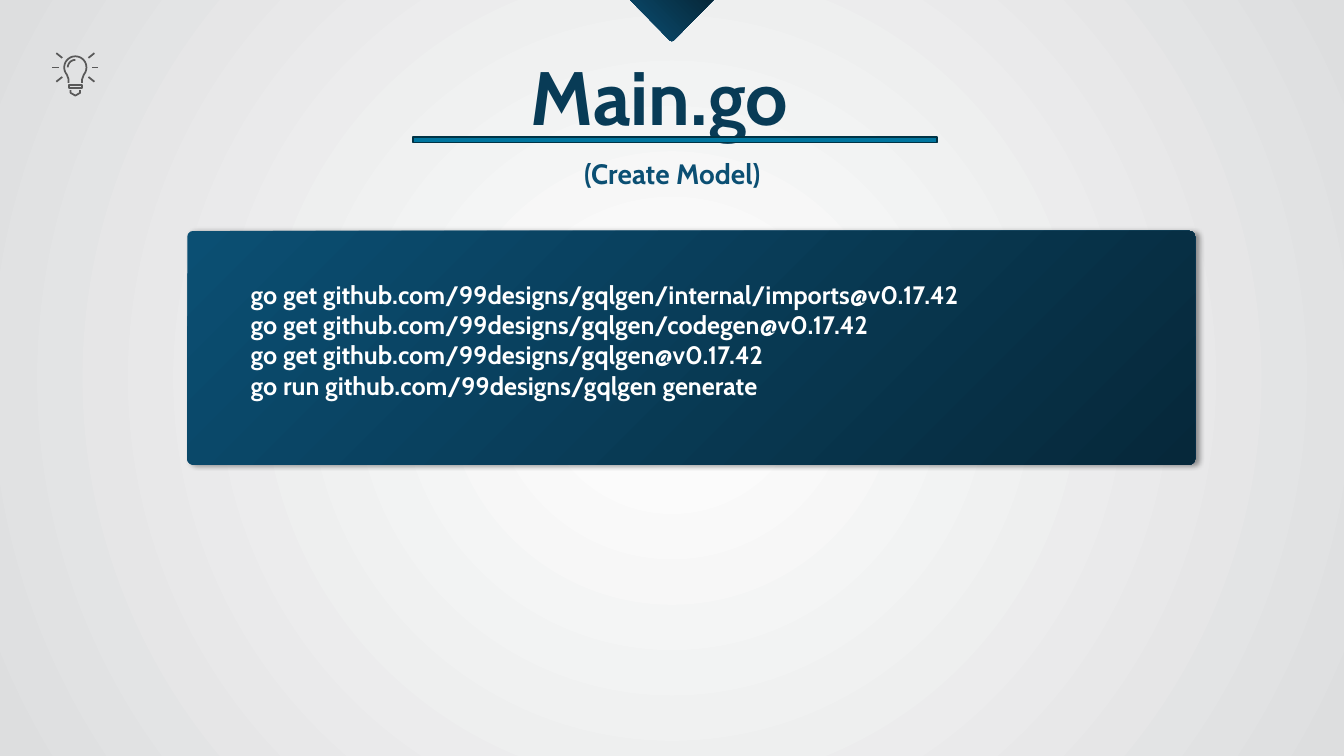
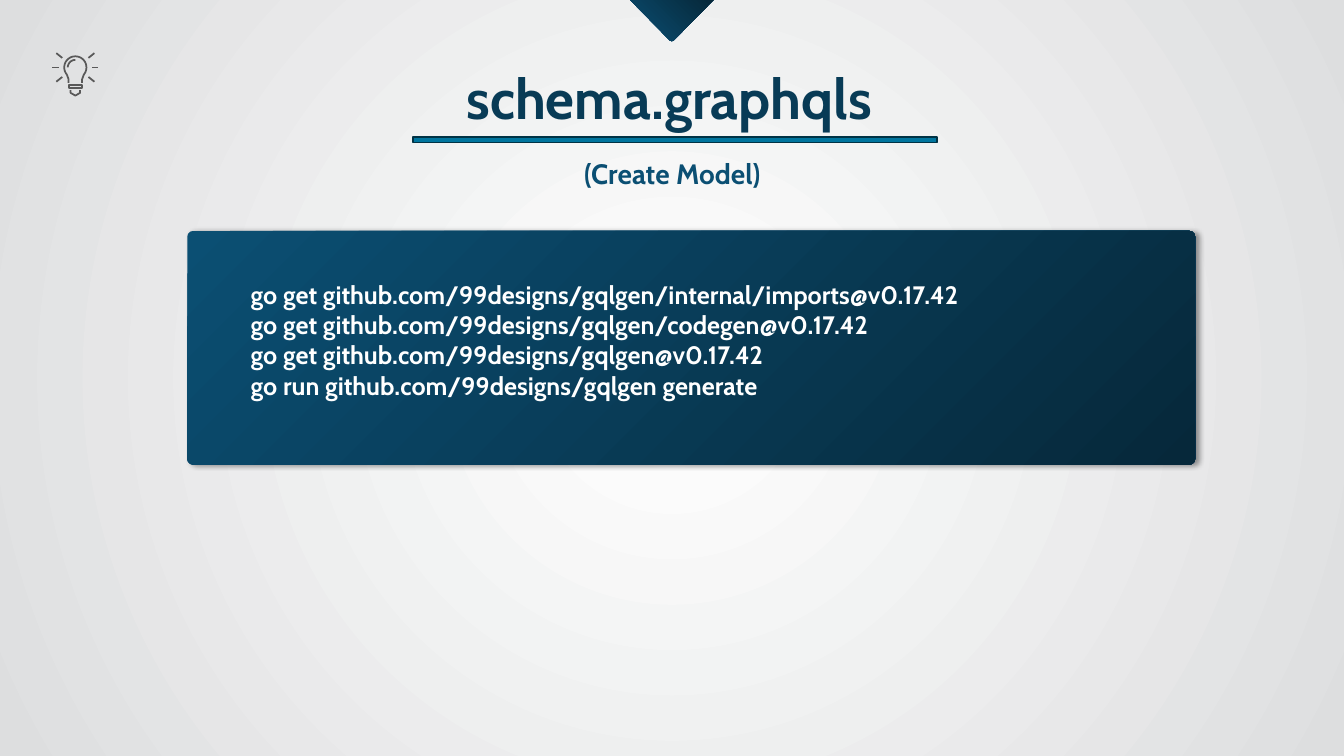
from math import cos, radians, sin

from pptx import Presentation
from pptx.dml.color import RGBColor
from pptx.enum.shapes import MSO_SHAPE as SHAPE
from pptx.enum.text import MSO_AUTO_SIZE as AUTO, PP_ALIGN as ALIGN
from pptx.oxml import parse_xml
from pptx.oxml.ns import nsdecls, qn
from pptx.util import Cm, Pt

WHITE = RGBColor(0xFF, 0xFF, 0xFF)
MIST = RGBColor(0xDD, 0xDE, 0xDF)
GREY = RGBColor(0x59, 0x59, 0x59)
OCEAN = RGBColor(0x0B, 0x4F, 0x73)
NIGHT = RGBColor(0x06, 0x28, 0x3A)
NAVY = RGBColor(0x08, 0x3B, 0x56)
TEAL = RGBColor(0x00, 0x75, 0x9E)
EDGE = RGBColor(0x00, 0x33, 0x45)
FONT = "Cabin"

GLOW = (
    f'<a:path {nsdecls("a")} path="circle">'
    '<a:fillToRect l="50000" t="50000" r="50000" b="50000"/></a:path>'
)
SHADOW = (
    f'<a:outerShdw {nsdecls("a")} blurRad="50800" dist="38100" dir="0" '
    'algn="l" rotWithShape="0"><a:srgbClr val="000000">'
    '<a:alpha val="40000"/></a:srgbClr></a:outerShdw>'
)

COMMANDS = [
    "go get github.com/99designs/gqlgen/internal/imports@v0.17.42",
    "go get github.com/99designs/gqlgen/codegen@v0.17.42",
    "go get github.com/99designs/gqlgen@v0.17.42",
    "go run github.com/99designs/gqlgen generate",
]
SLIDES = [
    ("Main.go ", 54, (10.41, 1.14, 12.85, 2.57)),
    ("schema.graphqls ", 40, (9.53, 1.47, 14.99, 1.96)),
]


def write(p, text, size=18, color=WHITE, align=ALIGN.LEFT, bold=True):
    p.alignment = align
    r = p.add_run()
    r.text = text
    r.font.name = FONT
    r.font.size = Pt(size)
    r.font.bold = bold
    r.font.color.rgb = color


def blend(fill, start, end, angle=None):
    fill.gradient()
    for stop, color in zip(fill.gradient_stops, (start, end)):
        stop.color.rgb = color
    if angle is not None:
        fill.gradient_angle = angle


def arc(x, y, radius, start, end, step=10):
    return [
        (x + radius * cos(radians(a)), y + radius * sin(radians(a)))
        for a in range(start, end + 1, step)
    ]


class Deck:
    def __init__(self):
        self.prs = Presentation()
        self.prs.slide_width = Cm(33.87)
        self.prs.slide_height = Cm(19.05)
        self.s = None

    def new_slide(self):
        self.s = self.prs.slides.add_slide(self.prs.slide_layouts[6])
        blend(self.s.background.fill, WHITE, MIST)
        lin = next(self.s.element.iter(qn("a:lin")))
        lin.getparent().replace(lin, parse_xml(GLOW))

    def text(self, lines, box, shapes=None, **style):
        tb = (shapes or self.s.shapes).add_textbox(*map(Cm, box))
        tf = tb.text_frame
        tf.word_wrap = True
        tf.auto_size = AUTO.SHAPE_TO_FIT_TEXT
        for i, line in enumerate(lines):
            write(tf.add_paragraph() if i else tf.paragraphs[0], line, **style)

    def shape(self, kind, box, shapes=None):
        sp = (shapes or self.s.shapes).add_shape(kind, *map(Cm, box))
        sp.shadow.inherit = False
        return sp

    def outline(self, contours):
        pen = None
        for points, closed in contours:
            first, *rest = [(Cm(x), Cm(y)) for x, y in points]
            if pen is None:
                pen = self.s.shapes.build_freeform(*first)
            else:
                pen.move_to(*first)
            pen.add_line_segments(rest, close=closed)
        sp = pen.convert_to_shape()
        sp.shadow.inherit = False
        return sp

    def pointer(self):
        points = [(15.88, 0), (16.88, 1.02), (16.93, 1.04), (16.98, 1.02), (17.98, 0)]
        sp = self.outline([(points, True)])
        blend(sp.fill, OCEAN, NIGHT, 45)
        sp.line.fill.background()

    def bulb(self, x=1.9, y=1.7):
        neck = [(0.17, 2), (0.17, 2.09)]
        glass = [(x - dx, py) for dx, py in reversed(neck)]
        glass += arc(x, y, 0.28, 140, 400)
        glass += [(x + dx, py) for dx, py in neck]
        base = [(x - 0.16, 2.14), (x + 0.16, 2.14), (x + 0.16, 2.22), (x - 0.16, 2.22)]
        foot = [(x - 0.12, 2.27), (x - 0.12, 2.34), (x, 2.41), (x + 0.12, 2.34), (x + 0.12, 2.27)]
        contours = [(glass, False), (arc(x, y, 0.19, 180, 270), False), (base, True), (foot, False)]
        for side in (-1, 1):
            contours.append(([(x + side * 0.42, y), (x + side * 0.58, y)], False))
            for dy in (-1, 1):
                inner = (x + side * 0.33, y + dy * 0.24)
                outer = (x + side * 0.48, y + dy * 0.36)
                contours.append(([inner, outer], False))
        sp = self.outline(contours)
        sp.fill.background()
        sp.line.color.rgb = GREY
        sp.line.width = Pt(1.25)

    def rule(self):
        sp = self.shape(SHAPE.RECTANGLE, (10.41, 3.45, 13.21, 0.15))
        sp.fill.solid()
        sp.fill.fore_color.rgb = TEAL
        sp.line.color.rgb = EDGE
        sp.line.width = Pt(1)

    def code_panel(self, lines):
        group = self.s.shapes.add_group_shape()
        sp = self.shape(SHAPE.ROUNDED_RECTANGLE, (4.72, 5.82, 25.4, 5.89), group.shapes)
        sp.adjustments[0] = 0.025
        blend(sp.fill, OCEAN, NIGHT, 315)
        sp.line.fill.background()
        next(sp.element.iter(qn("a:effectLst"))).append(parse_xml(SHADOW))
        self.text(lines, (6.07, 6.91, 23.14, 3.33), group.shapes)


def main():
    deck = Deck()
    for title, size, box in SLIDES:
        deck.new_slide()
        deck.pointer()
        deck.text([title], box, size=size, color=NAVY, align=ALIGN.CENTER)
        deck.bulb()
        deck.text(["(Create Model)"], (11, 3.81, 11.89, 1.12),
                  size=20, color=OCEAN, align=ALIGN.CENTER)
        deck.rule()
        deck.code_panel(COMMANDS)
    deck.prs.save("out.pptx")


if __name__ == "__main__":
    main()
